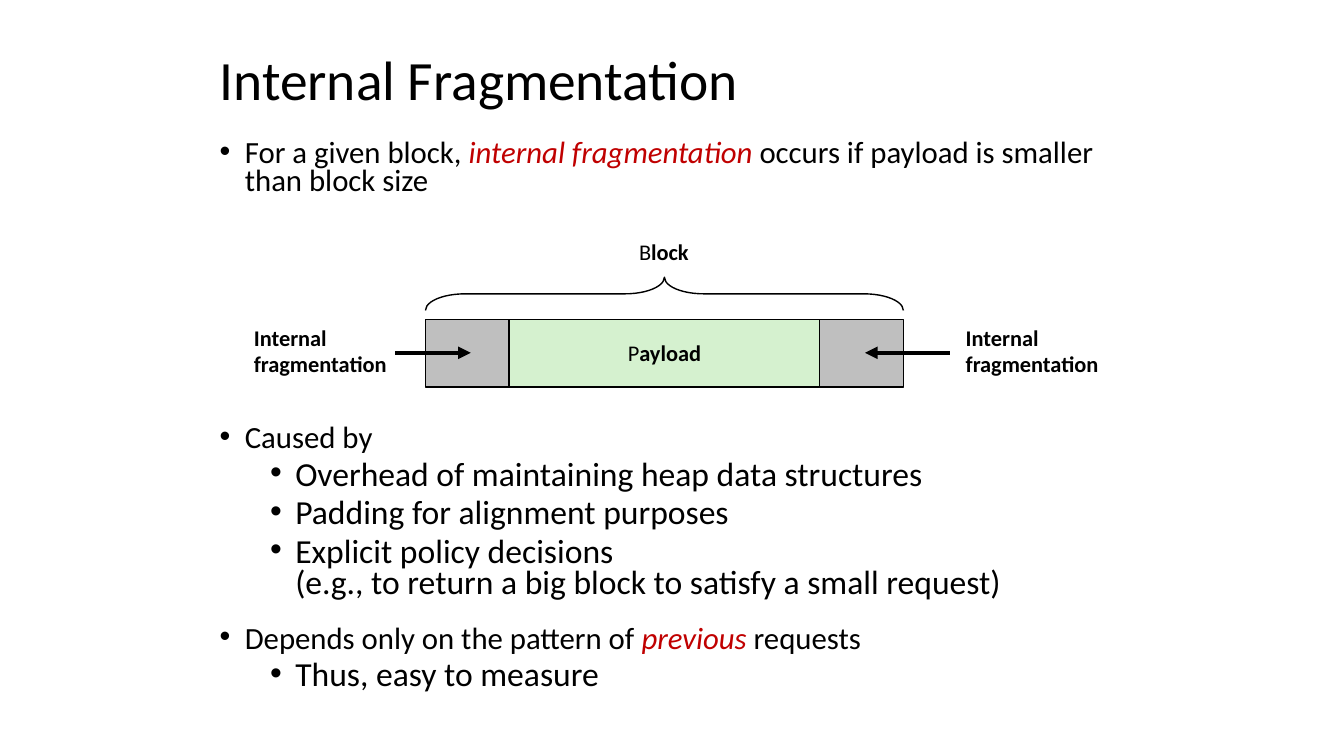
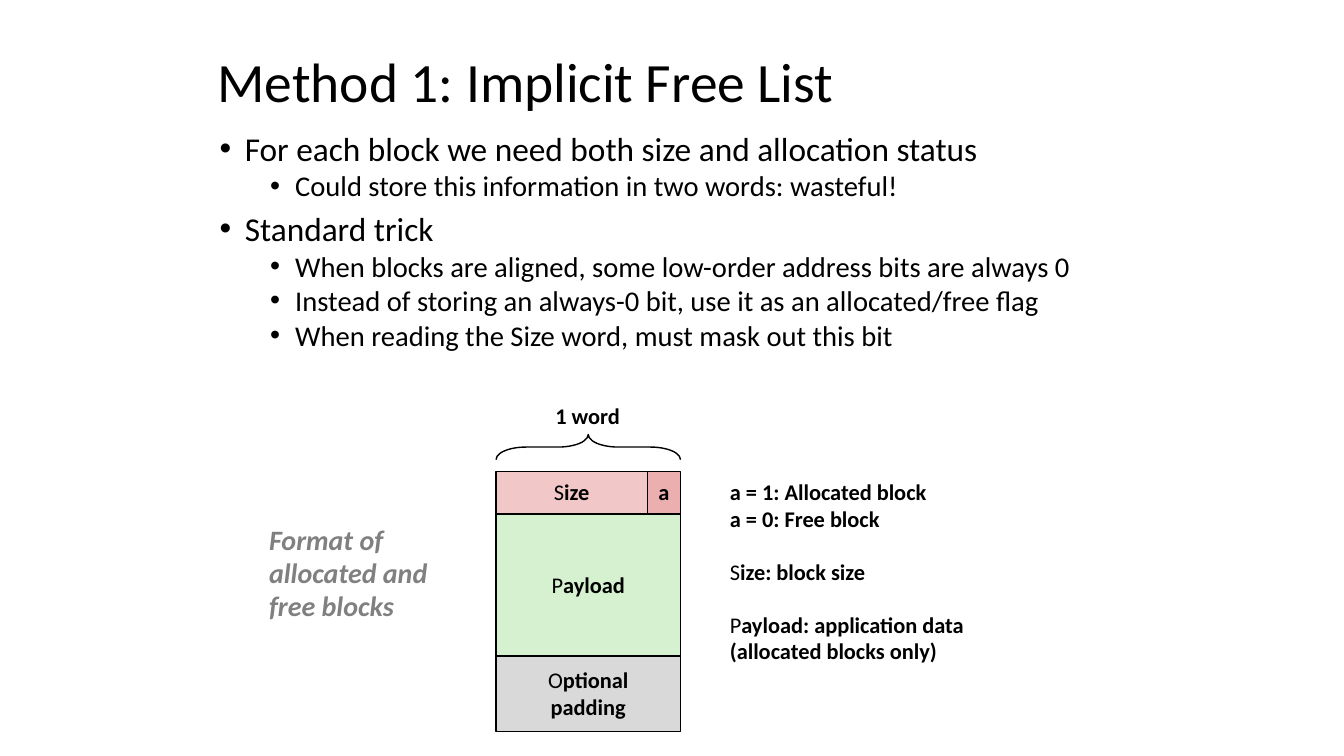
import pptx
import pptx.dml.color
import pptx.enum.shapes
import pptx.enum.text
import pptx.oxml.ns
import pptx.util
from lxml import etree

Inches = pptx.util.Inches
Pt = pptx.util.Pt
RGBColor = pptx.dml.color.RGBColor
MSO_SHAPE = pptx.enum.shapes.MSO_SHAPE
MSO_ANCHOR = pptx.enum.text.MSO_ANCHOR
PP_ALIGN = pptx.enum.text.PP_ALIGN
qn = pptx.oxml.ns.qn

FONT = "Calibri"
BLACK = RGBColor(0x00, 0x00, 0x00)
EMPHASIS_RED = RGBColor(0xC0, 0x00, 0x00)
CAPTION_GRAY = RGBColor(0x80, 0x80, 0x80)
PAYLOAD_GREEN = RGBColor(0xD5, 0xF1, 0xCF)
UNUSED_GRAY = RGBColor(0xBF, 0xBF, 0xBF)
PADDING_GRAY = RGBColor(0xD9, 0xD9, 0xD9)
SIZE_PINK = RGBColor(0xF1, 0xC7, 0xC7)
FLAG_PINK = RGBColor(0xEB, 0xAF, 0xAF)

LABEL_SIZE = 16
LABEL_SPACING = 0.98
BLANK_LINE = 19.1


def add_text(paragraph, text, *, size=LABEL_SIZE, bold=False, italic=False, color=BLACK):
    """Append text to the paragraph; a newline becomes a line break."""
    for number, line in enumerate(text.split("\n")):
        if number:
            paragraph.add_line_break()
        run = paragraph.add_run()
        run.text = line
        run.font.name = FONT
        run.font.size = Pt(size)
        run.font.bold = bold
        run.font.italic = italic
        run.font.color.rgb = color


def add_frame(slide, left, top, width, height, wrap=True):
    box = slide.shapes.add_textbox(Inches(left), Inches(top), Inches(width), Inches(height))
    box.text_frame.word_wrap = wrap
    return box.text_frame


def next_paragraph(frame, number):
    return frame.add_paragraph() if number else frame.paragraphs[0]


def add_title(slide, text, left, top, width):
    frame = add_frame(slide, left, top, width, 0.63)
    frame.vertical_anchor = MSO_ANCHOR.MIDDLE
    title = frame.paragraphs[0]
    title.line_spacing = 0.9
    add_text(title, text, size=39.6)


def add_bullets(slide, items, top, width, height, *, sizes, spaces, line_spacing):
    """Items are (level, text, own space before or None); *stars* mark emphasis."""
    frame = add_frame(slide, 2.08, top, width, height)
    for number, (level, text, own_space) in enumerate(items):
        bullet = next_paragraph(frame, number)
        bullet.level = level
        bullet.line_spacing = line_spacing
        if number:
            bullet.space_before = Pt(own_space or spaces[level])
        properties = bullet._p.get_or_add_pPr()
        properties.set("marL", str(Inches(0.25 + 0.5 * level)))
        properties.set("indent", str(Inches(-0.25)))
        etree.SubElement(properties, qn("a:buFont"), typeface="Arial")
        etree.SubElement(properties, qn("a:buChar"), char="•")
        for position, part in enumerate(text.split("*")):
            emphasized = position % 2 == 1
            add_text(bullet, part, size=sizes[level], italic=emphasized,
                     color=EMPHASIS_RED if emphasized else BLACK)


def write_labels(frame, lines, *, align=PP_ALIGN.LEFT, gaps=(), **style):
    """Bold lines; letters before a bar stay plain, gaps lists lines set one line lower."""
    for number, line in enumerate(lines):
        label = next_paragraph(frame, number)
        label.alignment = align
        label.line_spacing = LABEL_SPACING
        if number in gaps:
            label.space_before = Pt(BLANK_LINE)
        plain, _, strong = line.rpartition("|")
        if plain:
            add_text(label, plain, **style)
        add_text(label, strong, bold=True, **style)


def add_labels(slide, lines, left, top, width, height, **options):
    frame = add_frame(slide, left, top, width, height, wrap=False)
    frame.auto_size = pptx.enum.text.MSO_AUTO_SIZE.SHAPE_TO_FIT_TEXT
    write_labels(frame, lines, **options)


def add_outlined(slide, preset, left, top, width, height):
    shape = slide.shapes.add_shape(preset, Inches(left), Inches(top), Inches(width), Inches(height))
    shape.shadow.inherit = False
    shape.line.color.rgb = BLACK
    shape.line.width = Pt(1)
    return shape


def add_cell(slide, lines, left, top, width, height, fill):
    cell = add_outlined(slide, MSO_SHAPE.RECTANGLE, left, top, width, height)
    cell.fill.solid()
    cell.fill.fore_color.rgb = fill
    frame = cell.text_frame
    frame.word_wrap = False
    frame.vertical_anchor = MSO_ANCHOR.MIDDLE
    write_labels(frame, lines, align=PP_ALIGN.CENTER)


def add_brace_above(slide, left, top, width, height):
    """Draw a brace that opens downwards over the given area."""
    center_x, center_y = left + width / 2, top + height / 2
    brace = add_outlined(slide, MSO_SHAPE.RIGHT_BRACE,
                         center_x - height / 2, center_y - width / 2, height, width)
    brace.rotation = 270
    brace.adjustments[0] = 1.188
    brace.adjustments[1] = 0.5
    brace.fill.background()


def add_arrow(slide, start_x, end_x, y):
    arrow = slide.shapes.add_connector(pptx.enum.shapes.MSO_CONNECTOR.STRAIGHT,
                                       Inches(start_x), Inches(y), Inches(end_x), Inches(y))
    arrow.line.color.rgb = BLACK
    arrow.line.width = Pt(3)
    etree.SubElement(arrow.line._get_or_add_ln(), qn("a:tailEnd"), type="triangle")
    etree.SubElement(arrow._element.spPr, qn("a:effectLst"))


def build_internal_fragmentation(slide):
    add_title(slide, "Internal Fragmentation", 2.08, 0.5, 7.36)
    bullet_style = dict(sizes=(22, 24), spaces=(5, 5), line_spacing=0.78)
    add_bullets(slide, [
        (0, "For a given block, *internal fragmentation *occurs if payload is smaller than block size", None),
    ], 1.34, 9.09, 0.7, **bullet_style)
    add_bullets(slide, [
        (0, "Caused by", None),
        (1, "Overhead of maintaining heap data structures", None),
        (1, "Padding for alignment purposes", None),
        (1, "Explicit policy decisions\n(e.g., to return a big block to satisfy a small request)", None),
        (0, "Depends only on the pattern of *previous* requests", 18),
        (1, "Thus, easy to measure", None),
    ], 4.17, 9.09, 3.08, **bullet_style)

    block_left = cell_left = 4.22
    for lines, width, fill in (([], 0.83, UNUSED_GRAY),
                               (["P|ayload"], 3.08, PAYLOAD_GREEN),
                               ([], 0.83, UNUSED_GRAY)):
        add_cell(slide, lines, cell_left, 3.17, width, 0.67, fill)
        cell_left += width
    add_brace_above(slide, block_left, 2.75, cell_left - block_left, 0.33)
    add_labels(slide, ["B|lock"], 6.24, 2.33, 0.7, 0.37)
    for label_left, arrow_start, arrow_end in ((2.42, 3.92, 4.67), (9.48, 9.42, 8.58)):
        add_labels(slide, ["Internal", "fragmentation"], label_left, 3.18, 1.53, 0.63)
        add_arrow(slide, arrow_start, arrow_end, 3.5)


def build_implicit_free_list(slide):
    add_title(slide, "Method 1: Implicit Free List", 2.06, 0.52, 7.21)
    add_bullets(slide, [
        (0, "For each block we need both size and allocation status", None),
        (1, "Could store this information in two words: wasteful!", None),
        (0, "Standard trick", None),
        (1, "When blocks are aligned, some low-order address bits are always 0", None),
        (1, "Instead of storing an always-0 bit, use it as an allocated/free flag", None),
        (1, "When reading the Size word, must mask out this bit", None),
    ], 1.3, 9.03, 2.36, sizes=(23.8, 20.4), spaces=(10, 5), line_spacing=0.8)

    word_left, word_width, size_width = 4.92, 1.83, 1.5
    row_top = 4.68
    for height, cells in (
        (0.42, [(["S|ize"], size_width, SIZE_PINK), (["a"], word_width - size_width, FLAG_PINK)]),
        (1.41, [(["P|ayload"], word_width, PAYLOAD_GREEN)]),
        (0.75, [(["O|ptional", "padding"], word_width, PADDING_GRAY)]),
    ):
        cell_left = word_left
        for lines, width, fill in cells:
            add_cell(slide, lines, cell_left, row_top, width, height, fill)
            cell_left += width
        row_top += height
    add_brace_above(slide, word_left, 4.31, word_width, 0.25)
    add_labels(slide, ["1 word"], 5.41, 3.95, 0.85, 0.37)
    add_labels(slide, ["Format of", "allocated and", "free blocks"], 2.57, 5.15, 1.78, 1.09,
               size=20, italic=True, color=CAPTION_GRAY)
    add_labels(slide, ["a = 1: Allocated block", "a = 0: Free block", "S|ize: block size",
                       "P|ayload: application data", "(allocated blocks only)"],
               7.14, 4.71, 2.55, 2.22, gaps=(2, 3))


def main():
    deck = pptx.Presentation()
    deck.slide_width = Inches(13.33)
    deck.slide_height = Inches(7.5)
    for build in (build_internal_fragmentation, build_implicit_free_list):
        build(deck.slides.add_slide(deck.slide_layouts[6]))
    deck.save("out.pptx")


if __name__ == "__main__":
    main()
